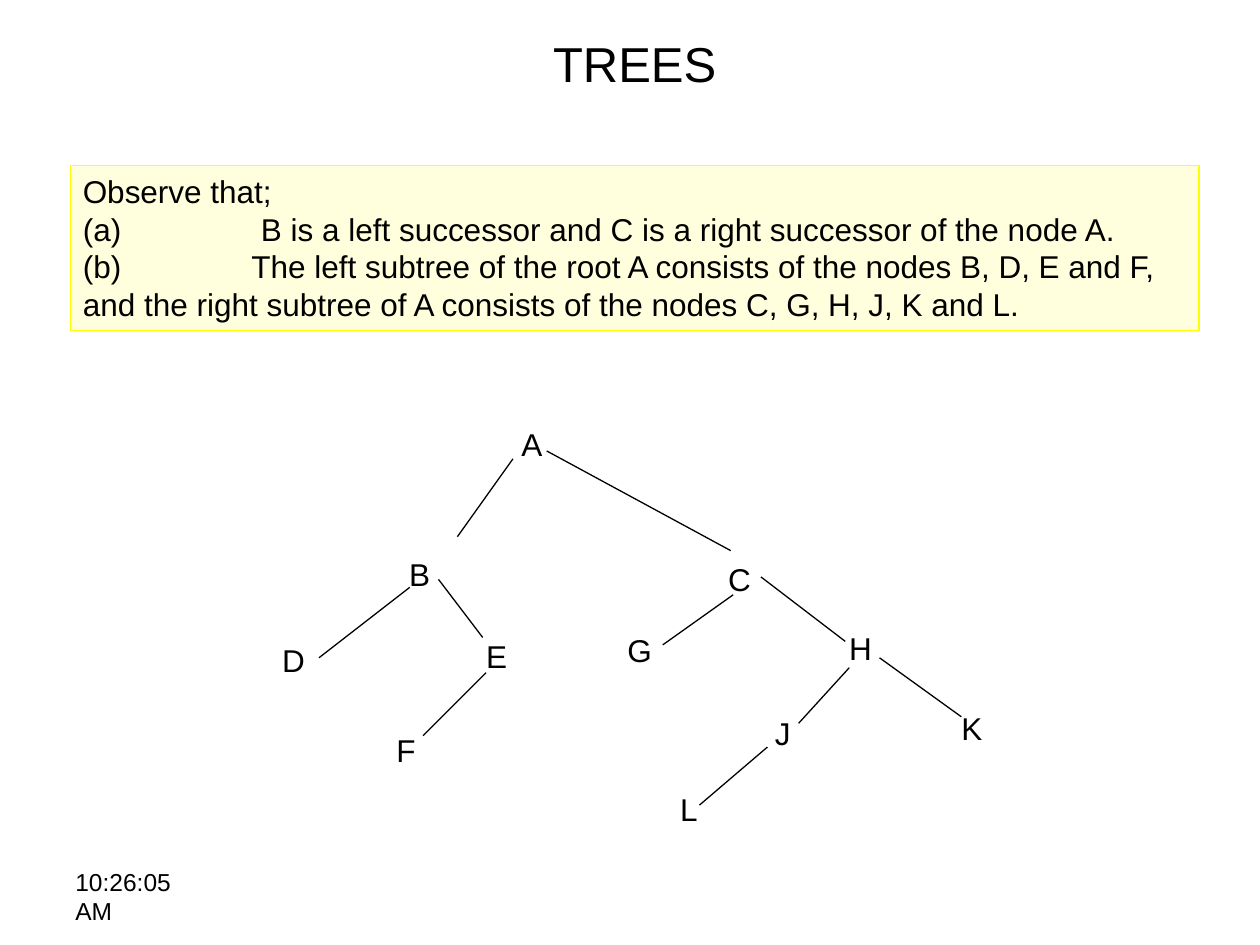
import pptx
import pptx.dml.color
import pptx.enum.shapes
import pptx.enum.text
import pptx.oxml.ns
import pptx.util
import lxml.etree

Cm = pptx.util.Cm
Pt = pptx.util.Pt
COLORS = {"ink": "000000", "panel": "FFFFDD", "border": "FFFF00"}


def color(name):
    return pptx.dml.color.RGBColor.from_string(COLORS[name])


def write(shape, text, size=18, align="LEFT", anchor="TOP", space_before=0):
    frame = shape.text_frame
    frame.word_wrap = True
    frame.vertical_anchor = getattr(pptx.enum.text.MSO_ANCHOR, anchor)
    frame.text = text
    for paragraph in frame.paragraphs:
        paragraph.alignment = getattr(pptx.enum.text.PP_ALIGN, align)
        paragraph.space_before = Pt(space_before)
        for run in paragraph.runs:
            run.font.name = "Arial"
            run.font.size = Pt(size)
            run.font.color.rgb = color("ink")


presentation = pptx.Presentation()
presentation.slide_width = Cm(25.4)
presentation.slide_height = Cm(19.05)
slide = presentation.slides.add_slide(presentation.slide_layouts[6])

# Time stamp
time_box = slide.shapes.add_textbox(Cm(1.27), Cm(17.35), Cm(3.2), Cm(1.32))
write(time_box, "10:26:05 AM", size=14)

# Observations
panel = slide.shapes.add_shape(
    pptx.enum.shapes.MSO_SHAPE.RECTANGLE, Cm(1.42), Cm(3.34), Cm(22.75), Cm(3.33))
panel.shadow.inherit = False
panel.fill.solid()
panel.fill.fore_color.rgb = color("panel")
panel.line.color.rgb = color("border")
panel.line.width = Pt(0.75)
write(panel, "Observe that;\n"
      "(a)\tB is a left successor and C is a right successor of the node A.\n"
      "(b)\tThe left subtree of the root A consists of the nodes B, D, E and F, "
      "and the right subtree of A consists of the nodes C, G, H, J, K and L.")

# Tab stops after (a) and (b)
for paragraph, stop in zip(panel.text_frame.paragraphs[1:], (3.59, 3.4)):
    properties = paragraph._p.get_or_add_pPr()
    tabs = lxml.etree.SubElement(properties, pptx.oxml.ns.qn("a:tabLst"))
    lxml.etree.SubElement(tabs, pptx.oxml.ns.qn("a:tab"), pos=str(Cm(stop)), algn="l")

# Title
title = slide.shapes.add_textbox(Cm(1.27), Cm(0.24), Cm(23.05), Cm(2.05))
write(title, "TREES", size=28, align="CENTER", anchor="MIDDLE")

# Tree nodes: left, top
nodes = {
    "A": (10.26, 8.44), "B": (8.0, 11.06), "C": (14.43, 11.16),
    "D": (5.44, 12.8), "E": (9.55, 12.72), "F": (7.74, 14.61),
    "G": (12.4, 12.6), "H": (16.87, 12.55), "J": (15.37, 14.27),
    "K": (19.13, 14.17), "L": (13.46, 15.8),
}
for letter, (left, top) in nodes.items():
    node = slide.shapes.add_textbox(Cm(left), Cm(top), Cm(1.04), Cm(1.02))
    write(node, letter, space_before=9)

# Tree branches, A-B to H-K: start x, start y, end x, end y
branches = [
    (10.34, 9.25, 9.22, 10.82), (11.02, 9.09, 14.73, 11.1),
    (8.26, 11.84, 6.43, 13.26), (8.84, 11.68, 9.73, 12.85),
    (9.8, 13.56, 8.53, 14.83), (14.78, 11.99, 13.36, 13.0),
    (15.34, 11.63, 17.04, 12.93), (17.12, 13.46, 16.1, 14.58),
    (15.47, 15.06, 14.1, 16.23), (17.73, 13.26, 19.38, 14.45),
]
for ends in branches:
    branch = slide.shapes.add_connector(
        pptx.enum.shapes.MSO_CONNECTOR.STRAIGHT, *map(Cm, ends))
    branch.line.color.rgb = color("ink")
    branch.line.width = Pt(0.75)
    lxml.etree.SubElement(branch._element.spPr, pptx.oxml.ns.qn("a:effectLst"))

presentation.save("out.pptx")
